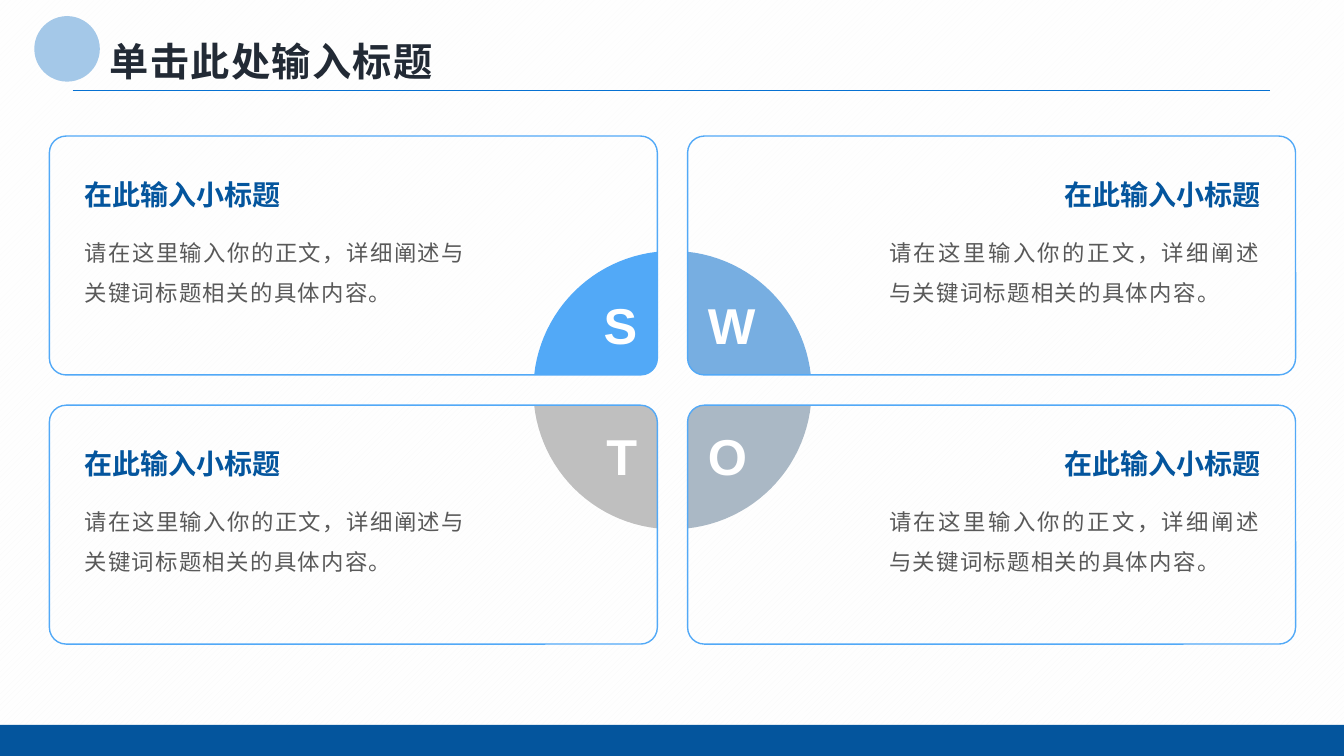
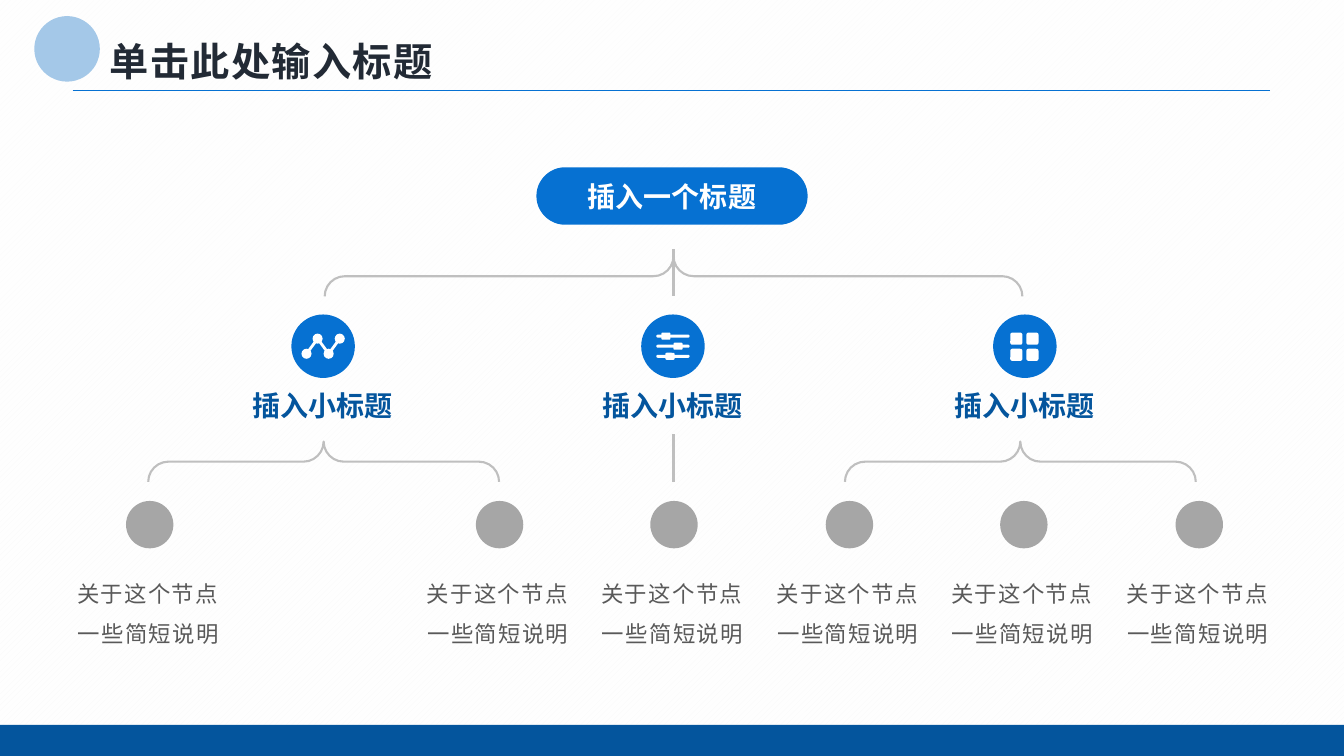
import math
from dataclasses import dataclass
from typing import Optional

import lxml.etree
import pptx
import pptx.dml.color
import pptx.enum.dml
import pptx.enum.shapes
import pptx.enum.text
import pptx.oxml.ns
import pptx.util

EMU_PER_PX = 9144  # 100 px to the inch
SLIDE_WIDTH, SLIDE_HEIGHT = 1333, 750

NAVY, BLUE, SKY, PALE = "04559D", "0671D2", "52A9F7", "A4C8E8"
WHITE, STRIPE, INK, BODY = "FFFFFF", "F2F2F2", "222A35", "595959"
BRANCH_GREY, LEAF_GREY = "BFBFBF", "A6A6A6"
LATIN, CHINESE = "Arial", "Noto Sans CJK SC"

SHAPE = pptx.enum.shapes.MSO_SHAPE
ALIGN = pptx.enum.text.PP_ALIGN
ANCHOR = pptx.enum.text.MSO_ANCHOR

CENTER_X, CENTER_Y = 667, 387
HALF_GAP = 15
CARD_WIDTH, CARD_HEIGHT = 603, 237
SECTOR_RADIUS, CORNER_RADIUS = 138, 16


@dataclass(frozen=True)
class Box:
    left: int
    top: int
    width: int
    height: int


@dataclass(frozen=True)
class TextStyle:
    size: int
    color: str
    bold: bool = False
    align: Optional[ALIGN] = None
    line_spacing: Optional[float] = None
    letter_spacing: int = 0
    font: str = LATIN
    anchor: ANCHOR = ANCHOR.TOP
    insets: tuple[int, int, int, int] = (10, 5, 10, 5)


@dataclass(frozen=True)
class Quadrant:
    letter: str
    color: str
    side_x: int
    side_y: int


@dataclass(frozen=True)
class Brace:
    left: int
    right: int
    top: int


QUADRANTS = [
    Quadrant("S", SKY, -1, -1),
    Quadrant("W", "77AEE1", 1, -1),
    Quadrant("T", "BFBFBF", -1, 1),
    Quadrant("O", "AAB8C5", 1, 1),
]
BRANCH_CENTERS = (320, 667, 1016)
LEAF_CENTERS = [148 + 347 * column // 2 for column in (0, 2, 3, 4, 5, 6)]
BRACES = [Brace(147, 495, 438), Brace(838, 1186, 438), Brace(322, 1014, 254)]


def px(length: float) -> pptx.util.Emu:
    return pptx.util.Emu(round(length * EMU_PER_PX))


def rgb(color: str) -> pptx.dml.color.RGBColor:
    return pptx.dml.color.RGBColor.from_string(color)


def emu_box(box: Box) -> list[pptx.util.Emu]:
    return [px(length) for length in (box.left, box.top, box.width, box.height)]


def paint(shape, fill: Optional[str], line: Optional[str] = None, width: float = 1) -> None:
    shape.shadow.inherit = False
    if fill:
        shape.fill.solid()
        shape.fill.fore_color.rgb = rgb(fill)
    else:
        shape.fill.background()
    if line:
        shape.line.color.rgb = rgb(line)
        shape.line.width = pptx.util.Pt(width)
    else:
        shape.line.fill.background()


def draw_shape(slide, kind: SHAPE, box: Box, fill: Optional[str],
               line: Optional[str] = None, width: float = 1,
               adjustments: tuple[float, ...] = ()):
    shape = slide.shapes.add_shape(kind, *emu_box(box))
    paint(shape, fill, line, width)
    for index, value in enumerate(adjustments):
        shape.adjustments[index] = value
    return shape


def draw_line(slide, start: tuple[int, int], end: tuple[int, int],
              color: str, width: float) -> None:
    line = slide.shapes.add_connector(
        pptx.enum.shapes.MSO_CONNECTOR.STRAIGHT, *map(px, start + end))
    line.line.color.rgb = rgb(color)
    line.line.width = pptx.util.Pt(width)
    lxml.etree.SubElement(line._element.spPr, pptx.oxml.ns.qn("a:effectLst"))


def write(shape, text: str, style: TextStyle) -> None:
    frame = shape.text_frame
    frame.word_wrap = True
    frame.vertical_anchor = style.anchor
    (frame.margin_left, frame.margin_top,
     frame.margin_right, frame.margin_bottom) = map(px, style.insets)
    paragraph = frame.paragraphs[0]
    paragraph.alignment = style.align or ALIGN.LEFT
    if style.line_spacing:
        paragraph.line_spacing = style.line_spacing
    run = paragraph.add_run()
    run.text = text
    run.font.size = pptx.util.Pt(style.size)
    run.font.bold = style.bold
    run.font.color.rgb = rgb(style.color)
    run.font.name = style.font
    properties = run._r.get_or_add_rPr()
    properties.set("lang", "zh-CN")
    properties.set("spc", str(style.letter_spacing * 100))
    east_asian = lxml.etree.SubElement(properties, pptx.oxml.ns.qn("a:ea"))
    east_asian.set("typeface", CHINESE)


def draw_text(slide, box: Box, text: str, style: TextStyle) -> None:
    write(slide.shapes.add_textbox(*emu_box(box)), text, style)


def set_background(master) -> None:
    fill = master.background.fill
    fill.patterned()
    fill.pattern = pptx.enum.dml.MSO_PATTERN.WIDE_UPWARD_DIAGONAL
    fill.fore_color.rgb = rgb(STRIPE)
    fill.back_color.rgb = rgb(WHITE)


def draw_veil(slide) -> None:
    """Soften the striped background with a translucent white gradient."""
    veil = draw_shape(slide, SHAPE.RECTANGLE, Box(0, 0, SLIDE_WIDTH, SLIDE_HEIGHT), WHITE)
    veil.fill.gradient()
    veil.fill.gradient_angle = 270
    for stop, opacity in zip(veil.fill.gradient_stops, (80, 50)):
        stop.color.rgb = rgb(WHITE)
        color = stop._gs.find(pptx.oxml.ns.qn("a:srgbClr"))
        alpha = lxml.etree.SubElement(color, pptx.oxml.ns.qn("a:alpha"))
        alpha.set("val", str(opacity * 1000))


def start_slide(deck, title: str):
    slide = deck.slides.add_slide(deck.slide_layouts[6])
    draw_veil(slide)
    draw_shape(slide, SHAPE.OVAL, Box(34, 16, 65, 65), PALE)
    draw_text(slide, Box(99, 27, 796, 57), title, TextStyle(
        28, INK, bold=True, line_spacing=0.9, letter_spacing=1, font=CHINESE,
        anchor=ANCHOR.BOTTOM, insets=(10, 5, 10, 0)))
    draw_line(slide, (72, 90), (1260, 90), BLUE, 0.75)
    draw_shape(slide, SHAPE.RECTANGLE, Box(0, 719, SLIDE_WIDTH, 31), NAVY)
    return slide


def arc(center: float, radius: float, start: float, end: float) -> list[tuple[float, float]]:
    steps = 24
    angles = [start + (end - start) * step / steps for step in range(steps + 1)]
    return [(center + radius * math.cos(angle), center + radius * math.sin(angle))
            for angle in angles]


def draw_sector(slide, quadrant: Quadrant) -> None:
    tip = math.asin(HALF_GAP / SECTOR_RADIUS)
    outline = arc(0, SECTOR_RADIUS, tip, math.pi / 2 - tip)
    outline += arc(HALF_GAP + CORNER_RADIUS, CORNER_RADIUS, math.pi, 1.5 * math.pi)
    points = [(px(CENTER_X + quadrant.side_x * x), px(CENTER_Y + quadrant.side_y * y))
              for x, y in outline]
    builder = slide.shapes.build_freeform(*points[0])
    builder.add_line_segments(points[1:], close=True)
    sector = builder.convert_to_shape()
    paint(sector, quadrant.color)
    write(sector, quadrant.letter, TextStyle(
        36, WHITE, bold=True, insets=(20, 20, 20, 20),
        align=ALIGN.RIGHT if quadrant.side_x < 0 else ALIGN.LEFT,
        anchor=ANCHOR.BOTTOM if quadrant.side_y < 0 else ANCHOR.TOP))


def draw_card(slide, quadrant: Quadrant) -> None:
    on_left = quadrant.side_x < 0
    left = CENTER_X - HALF_GAP - CARD_WIDTH if on_left else CENTER_X + HALF_GAP
    top = CENTER_Y - HALF_GAP - CARD_HEIGHT if quadrant.side_y < 0 else CENTER_Y + HALF_GAP
    text_left, text_width = (left + 25, 398) if on_left else (left + 190, 388)
    draw_sector(slide, quadrant)
    draw_text(slide, Box(text_left, top + 36, text_width, 48), "在此输入小标题", TextStyle(
        20, NAVY, bold=True, align=ALIGN.LEFT if on_left else ALIGN.RIGHT))
    draw_text(slide, Box(text_left, top + 84, text_width, 98),
              "请在这里输入你的正文，详细阐述与关键词标题相关的具体内容。",
              TextStyle(16, BODY, align=ALIGN.JUSTIFY, line_spacing=1.5, letter_spacing=1))
    draw_shape(slide, SHAPE.ROUNDED_RECTANGLE, Box(left, top, CARD_WIDTH, CARD_HEIGHT),
               None, SKY, adjustments=(0.07,))


def draw_brace(slide, brace: Brace) -> None:
    """Draw a brace that points up and spans from left to right."""
    depth, span = 40, brace.right - brace.left
    middle_x, middle_y = (brace.left + brace.right) // 2, brace.top + depth // 2
    shape = draw_shape(
        slide, SHAPE.RIGHT_BRACE,
        Box(middle_x - depth // 2, middle_y - span // 2, depth, span),
        None, BRANCH_GREY, 1.5, adjustments=(0.5, 0.5))
    shape.rotation = 270


def draw_trend_icon(slide, center: int) -> None:
    dots = [(center - 16 + 11 * index, 336 if index % 2 else 351) for index in range(4)]
    for start, end in zip(dots, dots[1:]):
        draw_line(slide, start, end, WHITE, 2)
    for x, y in dots:
        draw_shape(slide, SHAPE.OVAL, Box(x - 5, y - 5, 10, 10), WHITE)


def draw_slider_icon(slide, center: int) -> None:
    for row, knob_offset in enumerate((-11, 1, -7)):
        top = 330 + 10 * row
        draw_shape(slide, SHAPE.ROUNDED_RECTANGLE, Box(center - 16, top + 2, 33, 3),
                   WHITE, adjustments=(0.5,))
        draw_shape(slide, SHAPE.ROUNDED_RECTANGLE, Box(center + knob_offset, top, 9, 7), WHITE)


def draw_grid_icon(slide, center: int) -> None:
    for row in range(2):
        for column in range(2):
            draw_shape(slide, SHAPE.ROUNDED_RECTANGLE,
                       Box(center - 14 + 16 * column, 330 + 16 * row, 12, 12), WHITE)


def build_swot_slide(deck) -> None:
    slide = start_slide(deck, "单击此处输入标题")
    for quadrant in QUADRANTS:
        draw_card(slide, quadrant)


def build_tree_slide(deck) -> None:
    slide = start_slide(deck, "单击此处输入标题")
    root = draw_shape(slide, SHAPE.ROUNDED_RECTANGLE, Box(532, 166, 269, 57),
                      BLUE, adjustments=(0.5,))
    write(root, "插入一个标题", TextStyle(
        20, WHITE, bold=True, align=ALIGN.CENTER, anchor=ANCHOR.MIDDLE))

    for brace in BRACES:
        draw_brace(slide, brace)
    for top in (247, 431):
        draw_line(slide, (668, top), (668, top + 47), BRANCH_GREY, 1.5)

    icons = (draw_trend_icon, draw_slider_icon, draw_grid_icon)
    for center, draw_icon in zip(BRANCH_CENTERS, icons):
        draw_shape(slide, SHAPE.OVAL, Box(center - 31, 312, 63, 63), BLUE)
        draw_icon(slide, center)
        draw_text(slide, Box(center - 80, 381, 160, 44), "插入小标题",
                  TextStyle(20, NAVY, bold=True, align=ALIGN.CENTER))

    for center in LEAF_CENTERS:
        draw_shape(slide, SHAPE.OVAL, Box(center - 23, 497, 47, 47), LEAF_GREY)
        draw_text(slide, Box(center - 82, 562, 162, 110), "关于这个节点一些简短说明",
                  TextStyle(16, BODY, align=ALIGN.CENTER, line_spacing=1.5,
                            letter_spacing=1, insets=(0, 0, 0, 0)))


def main() -> None:
    deck = pptx.Presentation()
    deck.slide_width, deck.slide_height = px(SLIDE_WIDTH), px(SLIDE_HEIGHT)
    set_background(deck.slide_master)
    build_swot_slide(deck)
    build_tree_slide(deck)
    deck.save("out.pptx")


if __name__ == "__main__":
    main()
